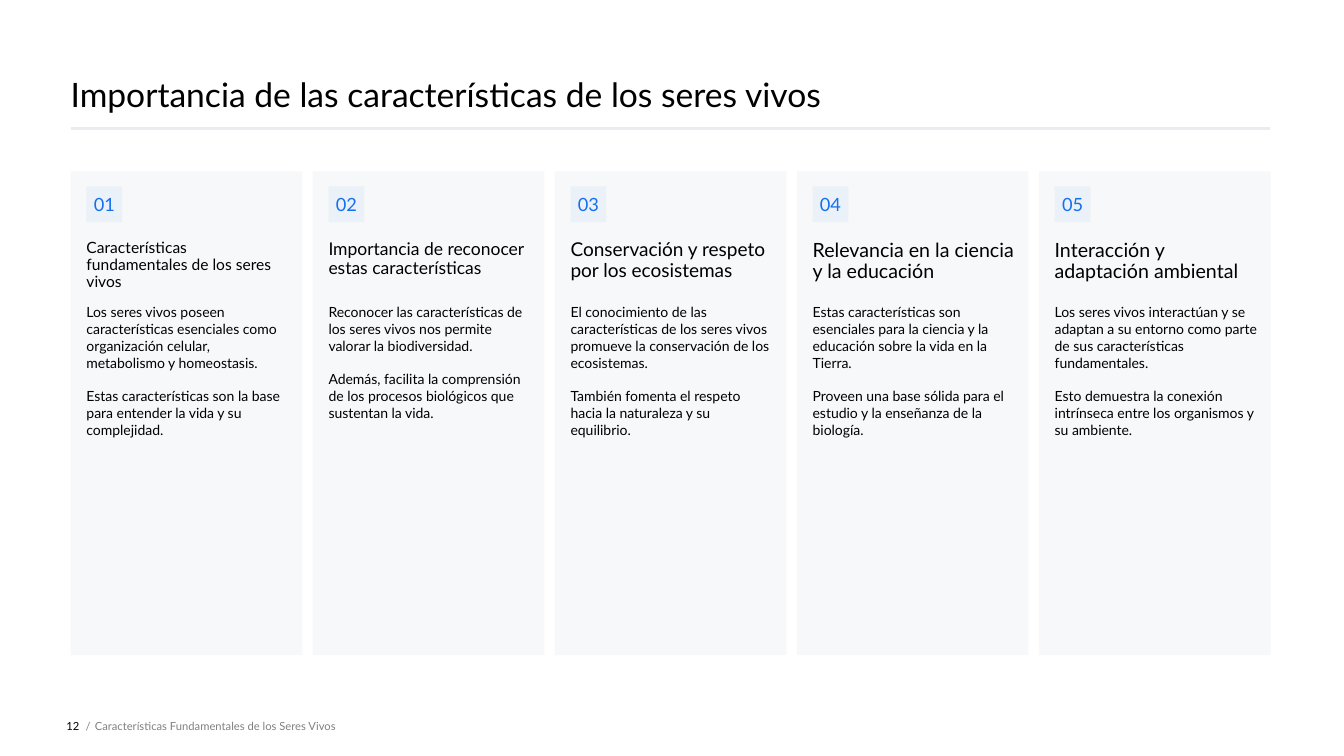
import pptx
import pptx.dml.color
import pptx.enum.shapes
import pptx.enum.text
import pptx.oxml
import pptx.oxml.ns
import pptx.util
from pptx.util import Cm

BLACK = pptx.dml.color.RGBColor(0x00, 0x00, 0x00)
GREY = pptx.dml.color.RGBColor(0x80, 0x80, 0x80)
RULE = pptx.dml.color.RGBColor(0xEA, 0xEC, 0xF0)
NAVY = pptx.dml.color.RGBColor(0x0E, 0x28, 0x41)
BLUE = pptx.dml.color.RGBColor(0x15, 0x70, 0xEF)

ALIGN = pptx.enum.text.PP_ALIGN
ANCHOR = pptx.enum.text.MSO_ANCHOR

CARDS = [
    ("Características fundamentales de los seres vivos", 11.1,
     ["Los seres vivos poseen características esenciales como organización celular, metabolismo y homeostasis.",
      "Estas características son la base para entender la vida y su complejidad."]),
    ("Importancia de reconocer estas características", 12.5,
     ["Reconocer las características de los seres vivos nos permite valorar la biodiversidad.",
      "Además, facilita la comprensión de los procesos biológicos que sustentan la vida."]),
    ("Conservación y respeto por los ecosistemas", 13.6,
     ["El conocimiento de las características de los seres vivos promueve la conservación de los ecosistemas.",
      "También fomenta el respeto hacia la naturaleza y su equilibrio."]),
    ("Relevancia en la ciencia y la educación", 14,
     ["Estas características son esenciales para la ciencia y la educación sobre la vida en la Tierra.",
      "Proveen una base sólida para el estudio y la enseñanza de la biología."]),
    ("Interacción y adaptación ambiental", 14,
     ["Los seres vivos interactúan y se adaptan a su entorno como parte de sus características fundamentales.",
      "Esto demuestra la conexión intrínseca entre los organismos y su ambiente."]),
]


class SlideBuilder:
    font_name = "Lato"

    def __init__(self, deck):
        self.page = deck.slides.add_slide(deck.slide_layouts[5])

    def fill_text(self, box, texts, size, color=BLACK, align=ALIGN.LEFT,
                  anchor=ANCHOR.TOP, gap=0, spacing=1.0):
        frame = box.text_frame
        frame.text = "\n".join(texts)
        frame.word_wrap = True
        frame.auto_size = pptx.enum.text.MSO_AUTO_SIZE.NONE
        frame.vertical_anchor = anchor
        frame.margin_left = frame.margin_right = 0
        frame.margin_top = frame.margin_bottom = 0
        for para in frame.paragraphs:
            para.alignment = align
            para.space_before = pptx.util.Pt(gap)
            para.line_spacing = spacing
            para.font.name = self.font_name
            para.font.size = pptx.util.Pt(size)
            para.font.color.rgb = color

    def title(self, text, left, top, width, height):
        box = self.page.shapes.title
        box.left, box.top, box.width, box.height = left, top, width, height
        self.fill_text(box, [text], 24, anchor=ANCHOR.BOTTOM)

    def text(self, texts, left, top, width, height, size, **style):
        box = self.page.shapes.add_textbox(left, top, width, height)
        self.fill_text(box, texts, size, **style)

    def panel(self, left, top, width, height, color, opacity):
        shape = self.page.shapes.add_shape(
            pptx.enum.shapes.MSO_SHAPE.RECTANGLE, left, top, width, height)
        shape.shadow.inherit = False
        shape.line.fill.background()
        shape.fill.solid()
        shape.fill.fore_color.rgb = color
        swatch = shape._element.spPr.find(".//" + pptx.oxml.ns.qn("a:srgbClr"))
        alpha = pptx.oxml.parse_xml(
            f'<a:alpha {pptx.oxml.ns.nsdecls("a")} val="{opacity * 1000}"/>')
        swatch.append(alpha)
        return shape

    def rule(self, left, right, top):
        line = self.page.shapes.add_connector(
            pptx.enum.shapes.MSO_CONNECTOR.STRAIGHT, left, top, right, top)
        line.line.color.rgb = RULE
        line.line.width = pptx.util.Pt(2)
        line._element.spPr.append(pptx.oxml.parse_xml(
            f'<a:effectLst {pptx.oxml.ns.nsdecls("a")}/>'))

    def card(self, number, left, heading, heading_size, body):
        inner = left + Cm(0.4)
        self.panel(left, Cm(4.32), Cm(5.84), Cm(12.19), NAVY, 3)
        badge = self.panel(inner, Cm(4.7), Cm(0.9), Cm(0.9), BLUE, 5)
        self.fill_text(badge, [f"{number:02d}"], 13, BLUE, ALIGN.CENTER, ANCHOR.MIDDLE)
        self.text([heading], inner, Cm(6.05), Cm(5.1), Cm(1.27), heading_size, spacing=0.9)
        self.text(body, inner, Cm(7.65), Cm(5.1), Cm(8.38), 10, gap=12)

    def footer(self, text, left, width, color=GREY, align=ALIGN.LEFT):
        self.text([text], left, Cm(17.53), width, Cm(1.52), 8,
                  color=color, align=align, anchor=ANCHOR.MIDDLE)


def main():
    deck = pptx.Presentation()
    deck.slide_width, deck.slide_height = Cm(33.87), Cm(19.05)
    slide = SlideBuilder(deck)
    left, pitch = Cm(1.78), Cm(6.1)
    slide.title("Importancia de las características de los seres vivos",
                left, Cm(0), Cm(30.33), Cm(2.87))
    slide.rule(left, Cm(32), Cm(3.23))
    for index, (heading, size, body) in enumerate(CARDS):
        slide.card(index + 1, left + index * pitch, heading, size, body)
    slide.footer("12", Cm(1.2), Cm(0.8), BLACK, ALIGN.RIGHT)
    slide.footer("/", Cm(2.16), Cm(0.23))
    slide.footer("Características Fundamentales de los Seres Vivos", Cm(2.39), Cm(21.87))
    deck.save("out.pptx")


if __name__ == "__main__":
    main()
